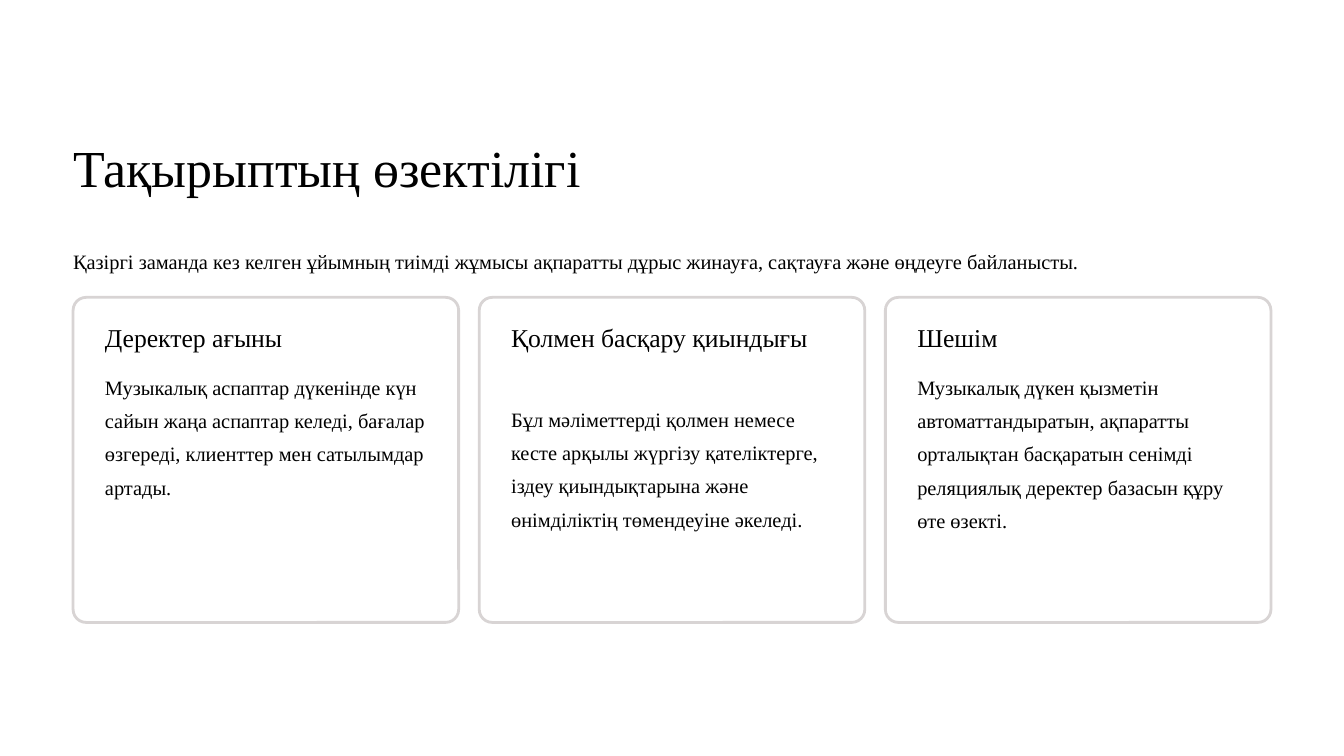
from pptx import Presentation
from pptx import util as u
from pptx.dml.color import RGBColor
from pptx.enum import shapes, text

FONT = "Times New Roman"
LEFT = 0.87
CARD_TOP = 3.54
CARD_WIDTH = 4.59
CARD_HEIGHT = 3.87
CARD_STEP = 4.835
PADDING = 0.38

CARDS = [
    ("Деректер ағыны", 0.39,
     "Музыкалық аспаптар дүкенінде күн сайын жаңа аспаптар келеді, "
     "бағалар өзгереді, клиенттер мен сатылымдар артады.", 4.36, 1.98),
    ("Қолмен басқару қиындығы", 0.78,
     "Бұл мәліметтерді қолмен немесе кесте арқылы жүргізу қателіктерге, "
     "іздеу қиындықтарына және өнімділіктің төмендеуіне әкеледі.", 4.74, 2.38),
    ("Шешім", 0.39,
     "Музыкалық дүкен қызметін автоматтандыратын, ақпаратты орталықтан "
     "басқаратын сенімді реляциялық деректер базасын құру өте өзекті.", 4.36, 1.98),
]


def color(value):
    return RGBColor.from_string(value)


def add_text(page, words, left, top, width, height, size, spacing):
    box = page.shapes.add_textbox(
        u.Inches(left), u.Inches(top), u.Inches(width), u.Inches(height))
    frame = box.text_frame
    frame.word_wrap = True
    frame.vertical_anchor = text.MSO_ANCHOR.TOP
    frame.margin_left = frame.margin_right = 0
    frame.margin_top = frame.margin_bottom = 0
    para = frame.paragraphs[0]
    para.line_spacing = u.Pt(spacing)
    span = para.add_run()
    span.text = words
    span.font.name = FONT
    span.font.size = u.Pt(size)
    span.font.color.rgb = color("000000")


def add_panel(page, left):
    panel = page.shapes.add_shape(
        shapes.MSO_SHAPE.ROUNDED_RECTANGLE, u.Inches(left), u.Inches(CARD_TOP),
        u.Inches(CARD_WIDTH), u.Inches(CARD_HEIGHT))
    panel.adjustments[0] = 0.04
    panel.shadow.inherit = False
    panel.fill.solid()
    panel.fill.fore_color.rgb = color("FFFFFF")
    panel.line.color.rgb = color("D8D4D4")
    panel.line.width = u.Pt(2.4)


def add_card(page, left, heading, heading_height, body, body_top, body_height):
    add_panel(page, left)
    inner_left = left + PADDING
    inner_width = 3.93
    add_text(page, heading, inner_left, 3.82, inner_width, heading_height, 22, 27.5)
    add_text(page, body, inner_left, body_top, inner_width, body_height, 17.5, 28.5)


def main():
    deck = Presentation()
    deck.slide_width = u.Inches(16)
    deck.slide_height = u.Inches(9)
    page = deck.slides.add_slide(deck.slide_layouts[6])
    add_text(page, "Тақырыптың өзектілігі", LEFT, 1.59, 6.75, 0.78, 44.5, 55.5)
    add_text(page, "Қазіргі заманда кез келген ұйымның тиімді жұмысы ақпаратты "
             "дұрыс жинауға, сақтауға және өңдеуге байланысты.",
             LEFT, 2.86, 14.26, 0.4, 17.5, 28.5)
    for index, card in enumerate(CARDS):
        add_card(page, LEFT + index * CARD_STEP, *card)
    deck.save("out.pptx")


if __name__ == "__main__":
    main()
